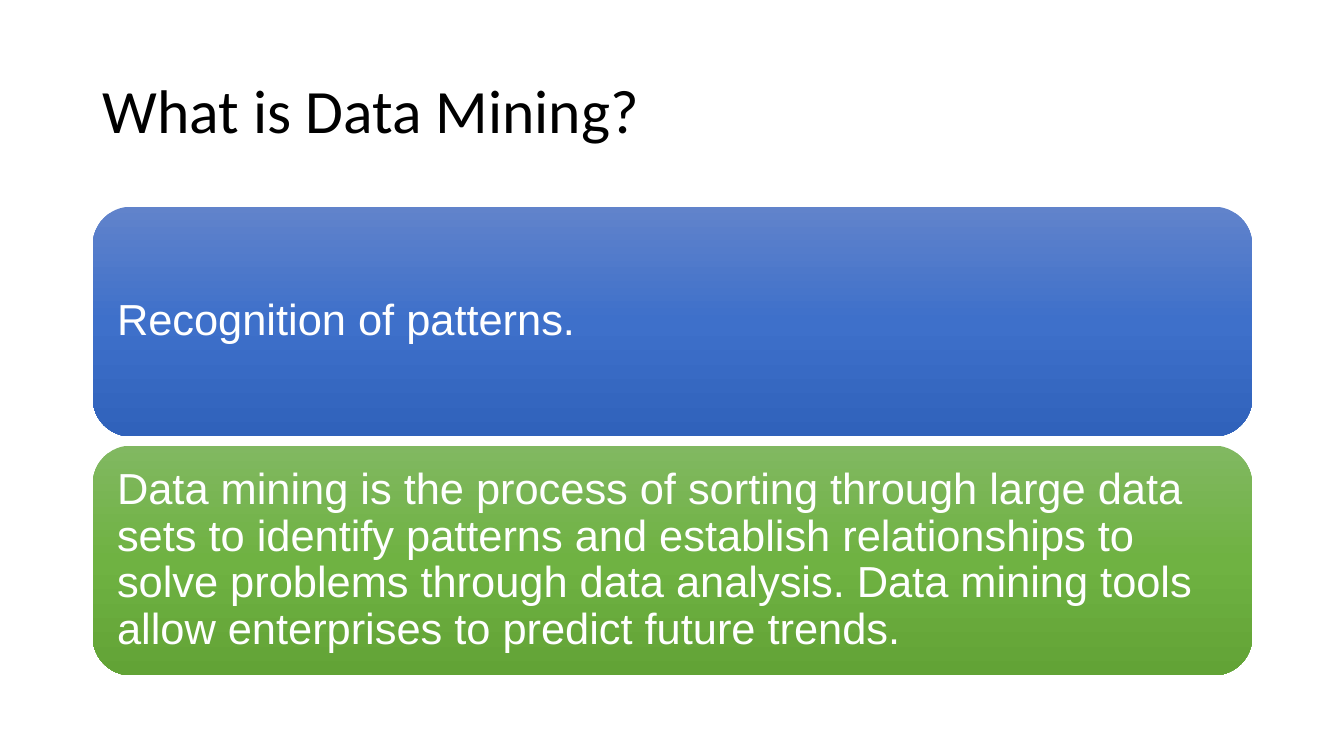
from copy import deepcopy
from dataclasses import dataclass

from pptx import Presentation
from pptx.dml.color import RGBColor
from pptx.enum.shapes import MSO_SHAPE
from pptx.enum.text import MSO_ANCHOR, PP_ALIGN
from pptx.oxml.ns import qn
from pptx.slide import Slide
from pptx.text.text import TextFrame
from pptx.util import Inches, Pt

# Grid: one column of content, panels stacked at an equal pitch
SLIDE_WIDTH, SLIDE_HEIGHT = 13.33, 7.5
MARGIN = 0.92
CONTENT_WIDTH = 11.5
PANEL_TOP, PANEL_HEIGHT, PANEL_PITCH = 2.05, 2.28, 2.37


@dataclass
class Panel:
    statement: str
    gradient: tuple[str, str, str]


PANELS = [
    Panel("Recognition of patterns.", ("6183CB", "3E70CA", "3062BB")),
    Panel(
        "Data mining is the process of sorting through large data sets to "
        "identify patterns and establish relationships to solve problems "
        "through data analysis. Data mining tools allow enterprises to "
        "predict future trends.",
        ("81B861", "6FB242", "62A336"),
    ),
]


def color(hex_value: str) -> RGBColor:
    return RGBColor.from_string(hex_value)


def write(frame: TextFrame, text: str, font: str, size: float, hex_value: str) -> None:
    frame.text = text
    frame.word_wrap = True
    frame.vertical_anchor = MSO_ANCHOR.MIDDLE
    paragraph = frame.paragraphs[0]
    paragraph.alignment = PP_ALIGN.LEFT
    paragraph.line_spacing = 0.9
    run_font = paragraph.runs[0].font
    run_font.name, run_font.size = font, Pt(size)
    run_font.color.rgb = color(hex_value)


def add_title(slide: Slide, text: str) -> None:
    title = slide.shapes.add_textbox(
        Inches(MARGIN), Inches(0.4), Inches(CONTENT_WIDTH), Inches(1.45)
    )
    write(title.text_frame, text, "Calibri", 44, "000000")


def add_panel(slide: Slide, row: int, panel: Panel) -> None:
    box = slide.shapes.add_shape(
        MSO_SHAPE.ROUNDED_RECTANGLE,
        Inches(MARGIN), Inches(PANEL_TOP + row * PANEL_PITCH),
        Inches(CONTENT_WIDTH), Inches(PANEL_HEIGHT),
    )
    box.shadow.inherit = False
    box.line.fill.background()

    # Top-to-bottom gradient with a middle stop
    box.fill.gradient()
    box.fill.gradient_angle = 270
    stop_list = box._element.spPr.find(qn("a:gradFill")).find(qn("a:gsLst"))
    stop_list.append(deepcopy(stop_list[0]))
    for stop, position, shade in zip(box.fill.gradient_stops, (0, 0.5, 1), panel.gradient):
        stop.position = position
        stop.color.rgb = color(shade)

    # Statement
    frame = box.text_frame
    frame.margin_left = frame.margin_right = Inches(0.13)
    frame.margin_top = frame.margin_bottom = Inches(0.13)
    write(frame, panel.statement, "Arial", 31, "FFFFFF")


def main() -> None:
    deck = Presentation()
    deck.slide_width, deck.slide_height = Inches(SLIDE_WIDTH), Inches(SLIDE_HEIGHT)
    slide = deck.slides.add_slide(deck.slide_layouts[6])
    add_title(slide, "What is Data Mining?")
    for row, panel in enumerate(PANELS):
        add_panel(slide, row, panel)
    deck.save("out.pptx")


if __name__ == "__main__":
    main()
